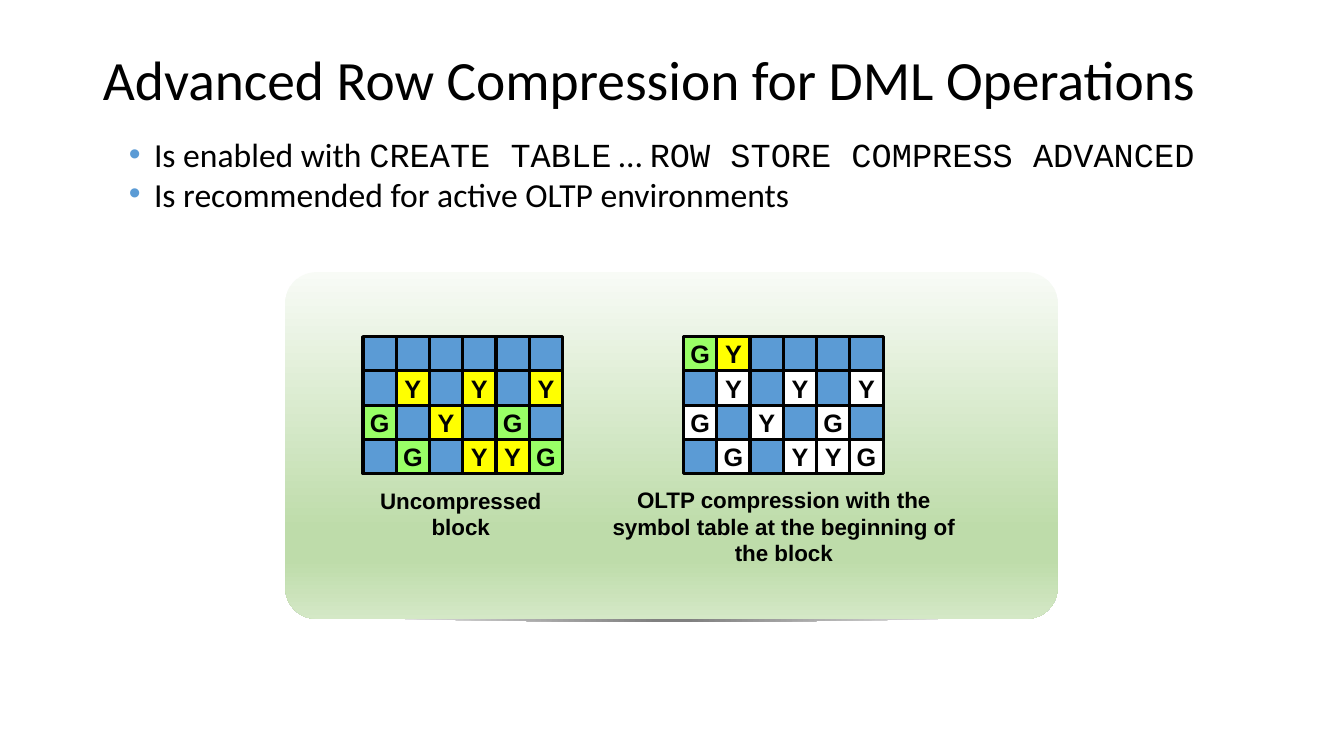
from dataclasses import dataclass

from lxml.etree import SubElement
from pptx import Presentation
from pptx.dml.color import RGBColor as Rgb
from pptx.enum.shapes import MSO_SHAPE as Shape
from pptx.enum.text import MSO_ANCHOR as Anchor, MSO_AUTO_SIZE as Fit, PP_ALIGN as Align
from pptx.oxml.ns import qn
from pptx.util import Inches, Pt


@dataclass(frozen=True)
class Theme:
    """Colours, fonts and type sizes of the slide."""
    ink: str = "000000"
    blue: str = "5B9BD5"
    yellow: str = "FFFF00"
    green: str = "99FF66"
    white: str = "FFFFFF"
    panel: tuple = ((0, "F8FBF6"), (74, "BEDCAA"), (83, "BEDCAA"), (100, "D4E8C6"))
    shade: tuple = ((4, "808080"), (100, "FFFFFF"))
    body: str = "Calibri"
    label: str = "Arial"
    code: str = "Courier New"
    head: float = 39.6
    point: float = 24
    cell: float = 18
    note: float = 16


THEME = Theme()
CELL_W, CELL_H = 0.33, 0.34
GRID_TOP = 3.34
PLAIN = ("......", ".Y.Y.Y", "G.Y.G.", ".G.YYG")
PACKED = ("GY....",) + PLAIN[1:]
POINTS = (
    (("Is enabled with ", THEME.body), ("CREATE TABLE", THEME.code),
     (" … ", THEME.body), ("ROW STORE COMPRESS ADVANCED", THEME.code)),
    (("Is recommended for active OLTP environments", THEME.body),),
)


def style(run, size, font, bold=False):
    """Format one run."""
    run.font.size, run.font.name, run.font.bold = Pt(size), font, bold
    run.font.color.rgb = Rgb.from_string(THEME.ink)


def label(frame, text, size):
    """Write centred bold text into a frame."""
    frame.text = text
    for para in frame.paragraphs:
        para.alignment = Align.CENTER
        for run in para.runs:
            style(run, size, THEME.label, True)


def blend(shape, stops, round_=False):
    """Fill a shape with a vertical or circular gradient."""
    shape.shadow.inherit = False
    shape.line.fill.background()
    shape.fill.gradient()
    grad = shape.fill._xPr.find(qn("a:gradFill"))
    for old in list(grad):
        grad.remove(old)
    row = SubElement(grad, qn("a:gsLst"))
    for spot, tint in stops:
        stop = SubElement(row, qn("a:gs"), pos=str(spot * 1000))
        SubElement(stop, qn("a:srgbClr"), val=tint)
    if round_:
        ring = SubElement(grad, qn("a:path"), {"path": "circle"})
        SubElement(ring, qn("a:fillToRect"), dict.fromkeys("ltrb", "50000"))
    else:
        SubElement(grad, qn("a:lin"), ang="5400000", scaled="0")


def add_title(slide, text):
    """Place and format the title."""
    title = slide.shapes.title
    title.left, title.top = Inches(0.92), Inches(0.4)
    title.width, title.height = Inches(11.5), Inches(1.45)
    frame = title.text_frame
    frame.text = text
    frame.auto_size, frame.vertical_anchor = Fit.NONE, Anchor.TOP
    frame.margin_top = Inches(0.12)
    para = frame.paragraphs[0]
    para.alignment, para.line_spacing = Align.LEFT, 0.9
    style(para.runs[0], THEME.head, THEME.body)


def add_points(slide, points):
    """Add the bulleted list."""
    box = slide.shapes.add_textbox(Inches(0.68), Inches(1.36), Inches(11.97), Inches(0.87))
    frame = box.text_frame
    frame.word_wrap = True
    for i, parts in enumerate(points):
        para = frame.add_paragraph() if i else frame.paragraphs[0]
        para.line_spacing, para.space_before = 0.8, Pt(5)
        for text, font in parts:
            run = para.add_run()
            run.text = text
            style(run, THEME.point, font)
        props = para._p.get_or_add_pPr()
        props.set("marL", str(Inches(0.75)))
        props.set("indent", str(Inches(-0.25)))
        SubElement(SubElement(props, qn("a:buClr")), qn("a:srgbClr"), val=THEME.blue)
        SubElement(props, qn("a:buFont"), typeface=THEME.label)
        SubElement(props, qn("a:buChar"), char="•")


def add_panel(slide):
    """Add the rounded panel above its curved shadow."""
    mid, half, top = 6.66, 3.53, 6.12
    steps = [1 - i / 10 for i in range(21)]
    curve = [(Inches(mid + half * u), Inches(top + 0.05 * (1 - u * u))) for u in steps]
    pen = slide.shapes.build_freeform(Inches(3.01), Inches(6.11))
    pen.add_line_segments([(Inches(10.32), Inches(6.11))] + curve)
    blend(pen.convert_to_shape(), THEME.shade, True)
    panel = slide.shapes.add_shape(
        Shape.ROUNDED_RECTANGLE, Inches(2.83), Inches(2.7), Inches(7.66), Inches(3.44))
    panel.adjustments[0] = 0.09
    blend(panel, THEME.panel)


def add_cell(slide, left, top, mark, tint):
    """Add one cell of a block."""
    cell = slide.shapes.add_shape(
        Shape.RECTANGLE, Inches(left), Inches(top), Inches(CELL_W), Inches(CELL_H))
    cell.shadow.inherit = False
    cell.fill.solid()
    cell.fill.fore_color.rgb = Rgb.from_string(tint)
    cell.line.color.rgb = Rgb.from_string(THEME.ink)
    cell.line.width = Pt(2.25)
    if mark != ".":
        frame = cell.text_frame
        frame.word_wrap, frame.vertical_anchor = False, Anchor.MIDDLE
        label(frame, mark, THEME.cell)


def add_block(slide, left, rows, packed=False):
    """Add a block, where a packed one tints only its symbol row."""
    tints = {".": THEME.blue, "Y": THEME.yellow, "G": THEME.green}
    pale = {".": THEME.blue, "Y": THEME.white, "G": THEME.white}
    for r, row in enumerate(rows):
        look = pale if packed and r else tints
        for c, mark in enumerate(row):
            add_cell(slide, left + c * CELL_W, GRID_TOP + r * CELL_H, mark, look[mark])


def add_note(slide, left, top, width, height, text, wrap):
    """Add a caption under a block."""
    box = slide.shapes.add_textbox(Inches(left), Inches(top), Inches(width), Inches(height))
    box.text_frame.word_wrap = wrap
    label(box.text_frame, text, THEME.note)


def main():
    """Build and save the slide."""
    deck = Presentation()
    deck.slide_width, deck.slide_height = Inches(13.33), Inches(7.5)
    slide = deck.slides.add_slide(deck.slide_layouts[5])
    add_panel(slide)
    add_title(slide, "Advanced Row Compression for DML Operations")
    add_points(slide, POINTS)
    add_block(slide, 3.6, PLAIN)
    add_note(slide, 3.66, 4.78, 1.82, 0.64, "Uncompressed\nblock", False)
    add_block(slide, 6.78, PACKED, True)
    add_note(slide, 5.81, 4.77, 3.93, 0.91,
             "OLTP compression with the symbol table at the beginning of the block", True)
    deck.save("out.pptx")


main()
